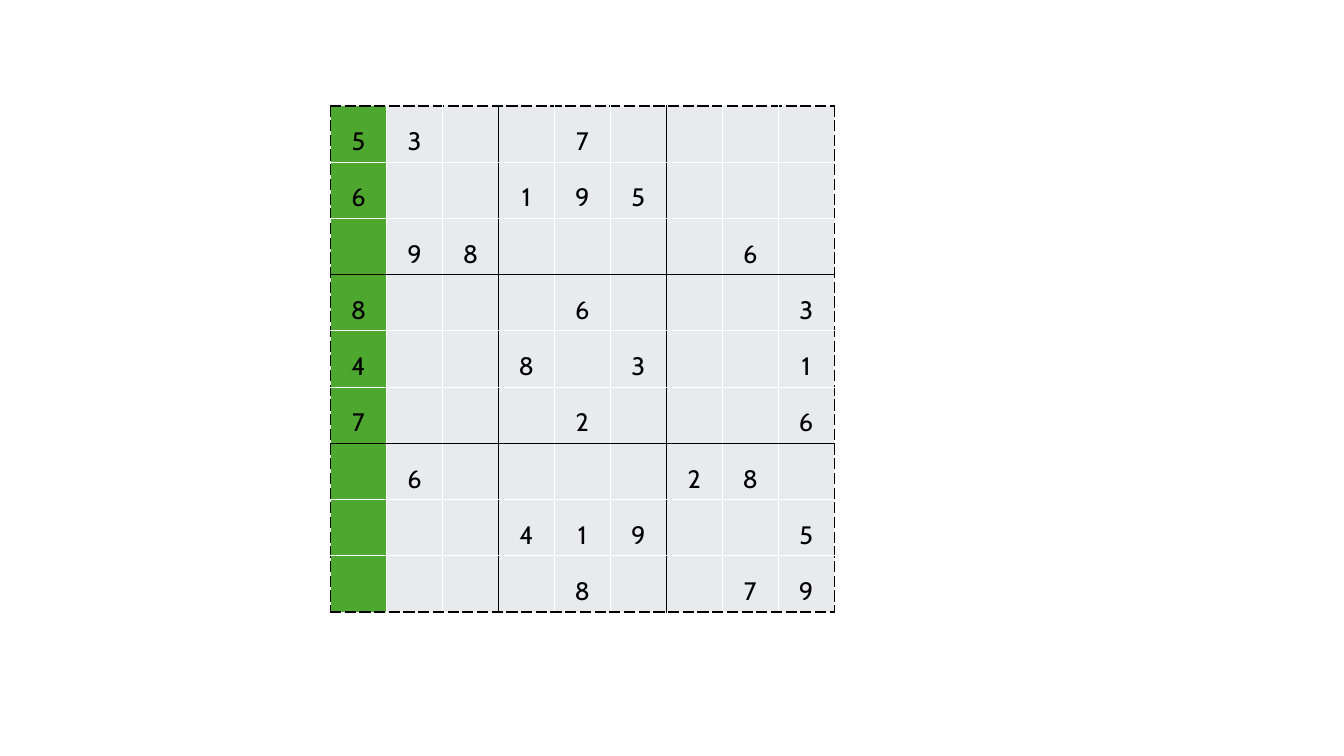
"""Build a slide with a sudoku grid whose first column is highlighted."""
import dataclasses

import lxml.etree
import pptx
import pptx.dml.color
import pptx.enum.text
import pptx.oxml.ns
import pptx.util

PUZZLE = [
    "53..7....",
    "6..195...",
    ".98....6.",
    "8...6...3",
    "4..8.3..1",
    "7...2...6",
    ".6....28.",
    "...419..5",
    "....8..79",
]
BOX_SIZE = 3
CELL_SIZE = 1.41


@dataclasses.dataclass(frozen=True)
class Theme:
    font: str = "Cabin"
    text_size: int = 18
    line_spacing: float = 1.5
    border_width: int = 1
    ink: str = "000000"
    grid: str = "FFFFFF"
    cell: str = "E8EAED"
    highlight: str = "4EA72E"


class SudokuSlide:
    def __init__(self, slide, theme):
        self.slide = slide
        self.theme = theme

    def add_grid(self, left, top, puzzle):
        size = len(puzzle)
        side = pptx.util.Cm(CELL_SIZE * size)
        frame = self.slide.shapes.add_table(
            size, size, pptx.util.Cm(left), pptx.util.Cm(top), side, side
        )
        table = frame.table
        table.first_row = False
        table.horz_banding = False
        for track in [*table.columns]:
            track.width = pptx.util.Cm(CELL_SIZE)
        for track in [*table.rows]:
            track.height = pptx.util.Cm(CELL_SIZE)
        for row, digits in enumerate(puzzle):
            for column, digit in enumerate(digits):
                cell = table.cell(row, column)
                edges = {"L": column, "R": column + 1, "T": row, "B": row + 1}
                for edge, position in edges.items():
                    self.add_border(cell, edge, position, size)
                self.fill_cell(cell, column == 0)
                if digit != ".":
                    self.add_digit(cell, digit)

    def add_border(self, cell, edge, position, size):
        name = pptx.oxml.ns.qn
        properties = cell._tc.get_or_add_tcPr()
        width = pptx.util.Pt(self.theme.border_width)
        line = lxml.etree.SubElement(properties, name(f"a:ln{edge}"), w=str(width))
        color = self.theme.grid if position % BOX_SIZE else self.theme.ink
        fill = lxml.etree.SubElement(line, name("a:solidFill"))
        lxml.etree.SubElement(fill, name("a:srgbClr"), val=color)
        dash = "sysDash" if position in (0, size) else "solid"
        lxml.etree.SubElement(line, name("a:prstDash"), val=dash)

    def fill_cell(self, cell, highlighted):
        color = self.theme.highlight if highlighted else self.theme.cell
        cell.fill.solid()
        cell.fill.fore_color.rgb = pptx.dml.color.RGBColor.from_string(color)

    def add_digit(self, cell, digit):
        paragraph = cell.text_frame.paragraphs[0]
        paragraph.alignment = pptx.enum.text.PP_ALIGN.CENTER
        paragraph.line_spacing = self.theme.line_spacing
        run = paragraph.add_run()
        run.text = digit
        run.font.name = self.theme.font
        run.font.size = pptx.util.Pt(self.theme.text_size)
        run.font.color.rgb = pptx.dml.color.RGBColor.from_string(self.theme.ink)


def main():
    presentation = pptx.Presentation()
    presentation.slide_width = pptx.util.Cm(33.87)
    presentation.slide_height = pptx.util.Cm(19.05)
    blank_layout = presentation.slide_layouts.get_by_name("Blank")
    slide = presentation.slides.add_slide(blank_layout)
    SudokuSlide(slide, Theme()).add_grid(8.33, 2.67, PUZZLE)
    presentation.save("out.pptx")


if __name__ == "__main__":
    main()
